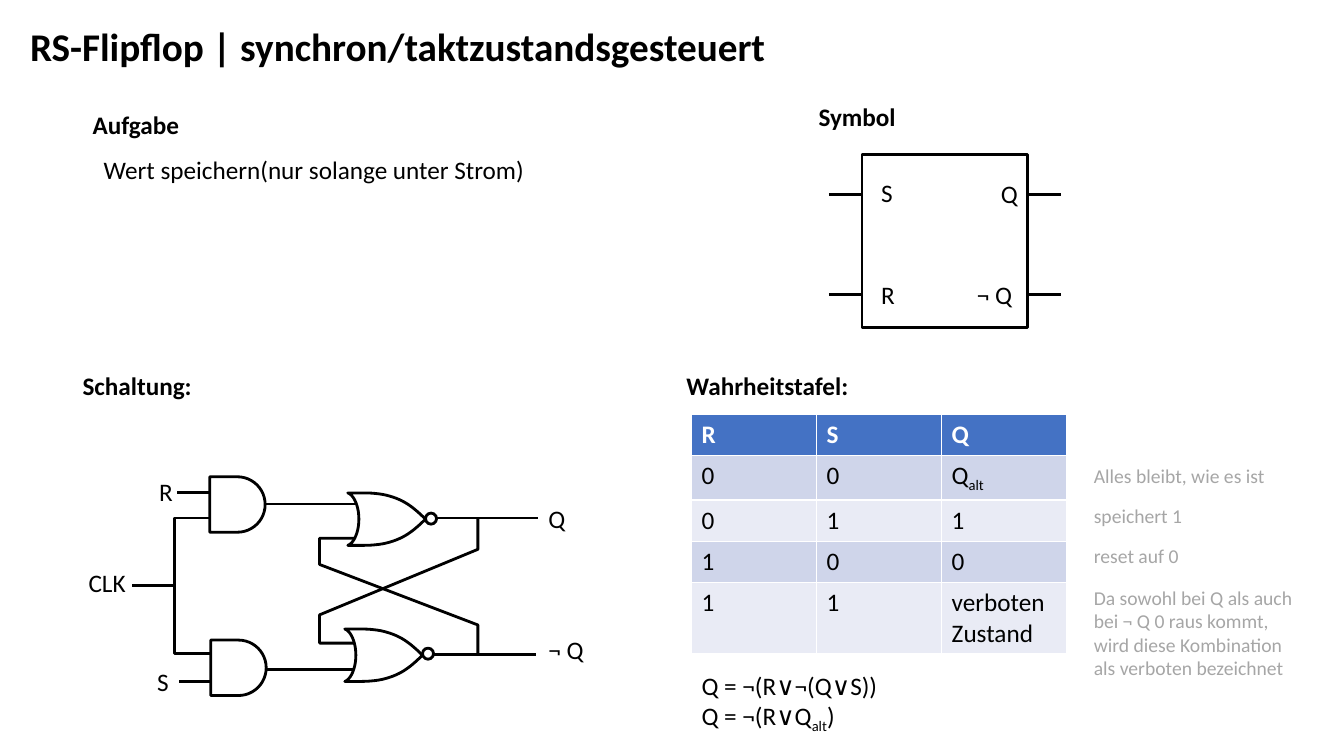
"""Build a slide on the clocked RS flip-flop with its symbol, circuit and truth table."""
from lxml import etree
from pptx import Presentation
from pptx.dml.color import RGBColor
from pptx.enum.shapes import MSO_CONNECTOR, MSO_SHAPE
from pptx.enum.text import MSO_AUTO_SIZE
from pptx.oxml.ns import qn
from pptx.util import Pt

PX = 9144
STRAIGHT = MSO_CONNECTOR.STRAIGHT
RECTANGLE = MSO_SHAPE.RECTANGLE
AND_GATE = MSO_SHAPE.FLOWCHART_DELAY
CIRCLE = MSO_SHAPE.OVAL
FIT_SHAPE = MSO_AUTO_SIZE.SHAPE_TO_FIT_TEXT
BLACK, WHITE, GREY = "000000", "FFFFFF", "A6A6A6"
HEADER, BANDS = "4472C4", ("CFD5EA", "E9EBF5")


def write(frame, lines, size=18, color=BLACK, bold=False):
    """Fill a text frame; pieces between tildes become subscripts."""
    for number, line in enumerate(lines):
        para = frame.add_paragraph() if number else frame.paragraphs[0]
        for index, piece in enumerate(line.split("~")):
            if not piece:
                continue
            span = para.add_run()
            span.text = piece
            span.font.name = "Calibri"
            span.font.size = Pt(size)
            span.font.bold = bold
            span.font.color.rgb = RGBColor.from_string(color)
            if index % 2:
                span._r.get_or_add_rPr().set("baseline", "-25000")


def outline(shape, fill=None):
    """Give a shape a black line and an optional solid fill."""
    shape.shadow.inherit = False
    shape.line.color.rgb = RGBColor.from_string(BLACK)
    shape.line.width = Pt(2)
    if fill:
        shape.fill.solid()
        shape.fill.fore_color.rgb = RGBColor.from_string(fill)
    else:
        shape.fill.background()


deck = Presentation()
deck.slide_width, deck.slide_height = 1333 * PX, 750 * PX
page = deck.slides.add_slide(deck.slide_layouts[6])
shapes = page.shapes

wires = [
    (822, 855, 193), (822, 855, 292), (1019, 1052, 193), (1019, 1052, 292),
    (261, 352, 500), (264, 351, 664), (433, 534, 514), (430, 532, 649),
    (176, 208, 489), (178, 211, 676),
]
for left, right, y in wires:
    wire = shapes.add_connector(STRAIGHT, left * PX, y * PX, right * PX, y * PX)
    wire.line.color.rgb = RGBColor.from_string(BLACK)
    wire.line.width = Pt(2)
    etree.SubElement(wire._element.spPr, qn("a:effectLst"))

bent_wires = [
    [(351, 534), (317, 534), (317, 560), (474, 620), (474, 649)],
    [(351, 638), (317, 638), (317, 610), (474, 545), (474, 514)],
    [(131, 581), (173, 581), (173, 648), (209, 648)],
    [(131, 581), (173, 581), (173, 514), (209, 514)],
]
for points in bent_wires:
    builder = shapes.build_freeform(*points[0], scale=PX)
    builder.add_line_segments(points[1:], close=False)
    outline(builder.convert_to_shape())

gate_curves = [
    [(12, 0), (12, -13), (7, -24), (1, -26)],
    [(17, -26), (26, -26), (35, -25), (42, -23)],
    [(42, -23), (56, -19), (65, -13), (78, 0)],
]
upper_half = []
for curve in gate_curves:
    for step in range(13):
        t = step / 12
        weights = ((1 - t) ** 3, 3 * t * (1 - t) ** 2, 3 * t * t * (1 - t), t ** 3)
        upper_half.append([sum(w * point[axis] for w, point in zip(weights, curve))
                           for axis in (0, 1)])
gate_outline = upper_half + [(x, -y) for x, y in reversed(upper_half)]

for left, middle in ((344, 515), (341, 650)):
    points = [((left + x) * PX, (middle + y) * PX) for x, y in gate_outline]
    builder = shapes.build_freeform(*points[0], scale=1)
    builder.add_line_segments(points[1:], close=True)
    outline(builder.convert_to_shape(), WHITE)

blocks = [
    (RECTANGLE, 855, 153, 164, 172),
    (CIRCLE, 422, 509, 11, 11),
    (CIRCLE, 419, 643, 11, 11),
    (AND_GATE, 209, 635, 55, 55),
    (AND_GATE, 208, 473, 55, 55),
]
for kind, *place in blocks:
    outline(shapes.add_shape(kind, *[length * PX for length in place]), WHITE)

heading = {"bold": True}
remark = {"size": 14, "color": GREY}
labels = [
    (20, 17, 758, 57, ["RS-Flipflop | synchron/taktzustandsgesteuert"], {"size": 28, "bold": True}),
    (82, 104, 107, 40, ["Aufgabe"], heading),
    (802, 96, 97, 40, ["Symbol"], heading),
    (72, 362, 129, 40, ["Schaltung:"], heading),
    (671, 362, 182, 40, ["Wahrheitstafel:"], heading),
    (93, 148, 442, 40, ["Wert speichern(nur solange unter Strom)"], {}),
    (864, 171, 32, 40, ["S"], {}),
    (864, 272, 34, 40, ["R"], {}),
    (983, 172, 37, 40, ["Q"], {}),
    (959, 272, 61, 40, ["¬ Q"], {}),
    (146, 656, 32, 40, ["S"], {}),
    (148, 468, 34, 40, ["R"], {}),
    (534, 494, 37, 40, ["Q"], {}),
    (534, 624, 61, 40, ["¬ Q"], {}),
    (78, 558, 61, 40, ["CLK"], {}),
    (686, 660, 207, 71, ["Q = ¬(R∨¬(Q∨S))", "Q = ¬(R∨Q~alt~)"], {}),
    (1075, 455, 192, 34, ["Alles bleibt, wie es ist"], remark),
    (1075, 495, 109, 34, ["speichert 1"], remark),
    (1075, 535, 105, 34, ["reset auf 0"], remark),
    (1075, 576, 223, 104, ["Da sowohl bei Q als auch bei ¬ Q 0 raus kommt, "
                           "wird diese Kombination als verboten bezeichnet"], remark),
]
for left, top, width, height, lines, style in labels:
    box = shapes.add_textbox(left * PX, top * PX, width * PX, height * PX)
    box.text_frame.word_wrap = height == 104
    box.text_frame.auto_size = FIT_SHAPE
    write(box.text_frame, lines, **style)

truth_rows = [
    ("R", "S", "Q"),
    ("0", "0", "Q~alt~"),
    ("0", "1", "1"),
    ("1", "0", "0"),
    ("1", "1", "verboten Zustand"),
]
truth_table = shapes.add_table(5, 3, 686 * PX, 411 * PX, 372 * PX, 205 * PX).table
for row, values in enumerate(truth_rows):
    for column, value in enumerate(values):
        cell = truth_table.cell(row, column)
        cell.fill.solid()
        cell.fill.fore_color.rgb = RGBColor.from_string(BANDS[(row - 1) % 2] if row else HEADER)
        write(cell.text_frame, [value], color=BLACK if row else WHITE, bold=row == 0)

deck.save("out.pptx")
